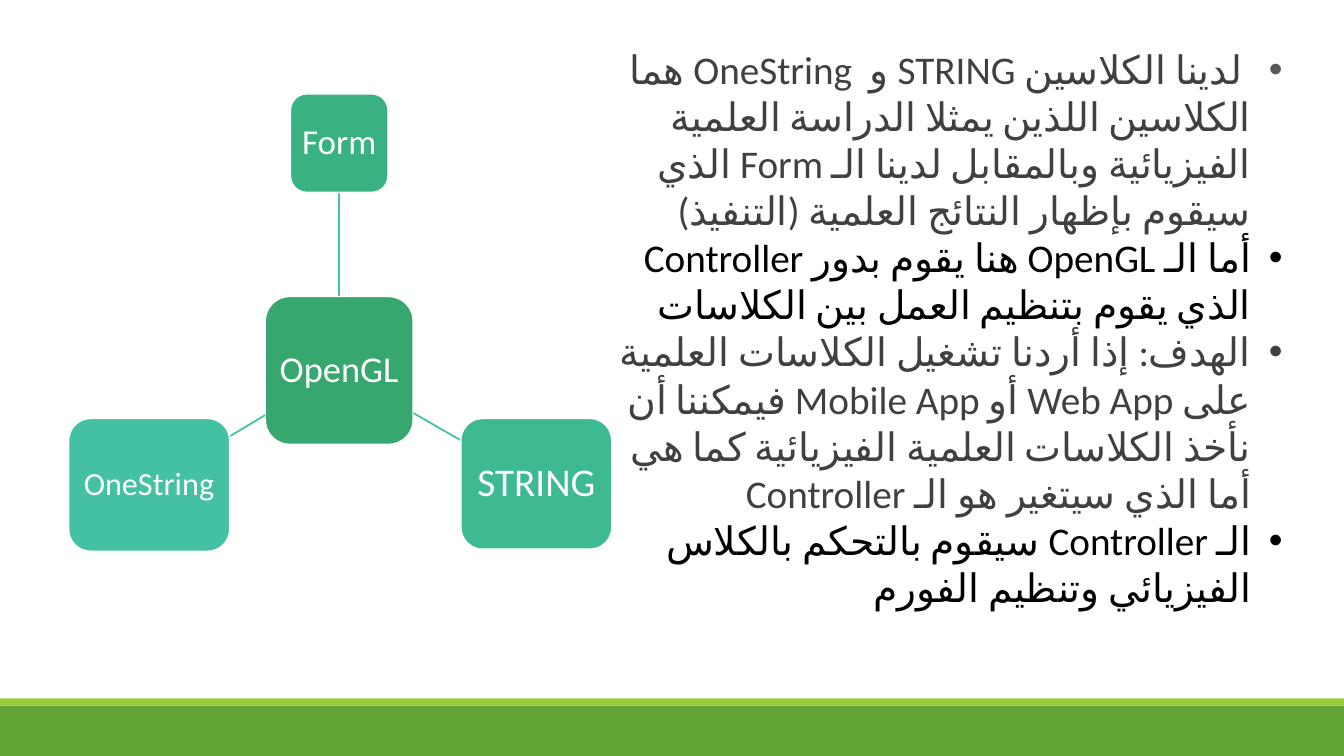
import pptx
import pptx.util
import pptx.dml.color
import pptx.enum.lang
import pptx.enum.shapes
import pptx.enum.text
import pptx.oxml.ns

Inches, Pt = pptx.util.Inches, pptx.util.Pt
RGBColor = pptx.dml.color.RGBColor
MSO_SHAPE = pptx.enum.shapes.MSO_SHAPE
PP_ALIGN = pptx.enum.text.PP_ALIGN
MSO_ANCHOR = pptx.enum.text.MSO_ANCHOR
qn = pptx.oxml.ns.qn

WHITE = RGBColor(0xFF, 0xFF, 0xFF)
BLACK = RGBColor(0, 0, 0)
DARK_GREY = RGBColor(0x40, 0x40, 0x40)
GREY = RGBColor(0x59, 0x59, 0x59)
GREEN = RGBColor(0x63, 0xA5, 0x37)
LIME = RGBColor(0x99, 0xCB, 0x38)
TEAL = RGBColor(0x44, 0xC1, 0xA3)
FONT = "Calibri"

# Content: each bullet is a list of (text, colour) runs
BULLETS = [
    [(" ", GREY),
     ("لدينا الكلاسين STRING و  OneString هما الكلاسين اللذين يمثلا الدراسة "
      "العلمية الفيزيائية وبالمقابل لدينا الـ Form الذي سيقوم بإظهار النتائج "
      "العلمية (التنفيذ)", DARK_GREY)],
    [("أما الـ OpenGL هنا يقوم بدور Controller  الذي يقوم بتنظيم العمل بين "
      "الكلاسات", BLACK)],
    [("الهدف: إذا أردنا تشغيل الكلاسات العلمية على Web App أو Mobile App "
      "فيمكننا أن نأخذ الكلاسات العلمية الفيزيائية كما هي أما الذي سيتغير هو "
      "الـ Controller", DARK_GREY)],
    [("الـ Controller سيقوم بالتحكم بالكلاس الفيزيائي وتنظيم الفورم", BLACK)],
]
# Diagram: label, (left, top, width, height), font size, fill
HUB = ("OpenGL", (2.63, 2.94, 1.47, 1.47), 26, RGBColor(0x37, 0xA7, 0x6F))
SPOKES = [
    ("Form", (2.88, 0.93, 0.97, 0.98), 25, RGBColor(0x3A, 0xB1, 0x80)),
    ("STRING", (4.57, 4.15, 1.5, 1.3), 28, RGBColor(0x3E, 0xBA, 0x92)),
    ("OneString", (0.68, 4.15, 1.6, 1.32), 23, TEAL),
]
BARS = [((0, 7, 13.33, 0.5), GREEN), ((0, 6.93, 13.33, 0.07), LIME)]


def add_block(slide, kind, box, fill):
    block = slide.shapes.add_shape(kind, *map(Inches, box))
    block.shadow.inherit = False
    block.fill.solid()
    block.fill.fore_color.rgb = fill
    block.line.fill.background()
    return block


def add_node(slide, label, box, size, fill):
    node = add_block(slide, MSO_SHAPE.ROUNDED_RECTANGLE, box, fill)
    node.line.color.rgb = WHITE
    node.line.width = Pt(1.25)
    frame = node.text_frame
    frame.word_wrap = False
    frame.vertical_anchor = MSO_ANCHOR.MIDDLE
    caption = frame.paragraphs[0]
    caption.text = label
    caption.alignment = PP_ALIGN.CENTER
    caption.line_spacing = 0.9
    caption.font.name = FONT
    caption.font.size = Pt(size)
    caption.font.color.rgb = WHITE


def center(box):
    left, top, width, height = box
    return left + width / 2, top + height / 2


def edge_toward(box, target):
    """Point where the ray from the box centre to target leaves the box."""
    x, y = center(box)
    dx, dy = target[0] - x, target[1] - y
    scale = 1 / max(abs(dx) / (box[2] / 2), abs(dy) / (box[3] / 2))
    return x + dx * scale, y + dy * scale


def add_link(slide, start_box, end_box):
    start = edge_toward(start_box, center(end_box))
    end = edge_toward(end_box, center(start_box))
    link = slide.shapes.add_connector(
        pptx.enum.shapes.MSO_CONNECTOR.STRAIGHT, *map(Inches, start + end))
    link.line.color.rgb = TEAL
    link.line.width = Pt(1.25)
    props = link._element.spPr
    props.append(props.makeelement(qn("a:effectLst"), {}))


def fill_bullets(frame):
    for index, runs in enumerate(BULLETS):
        bullet = frame.paragraphs[0] if index == 0 else frame.add_paragraph()
        bullet.alignment = PP_ALIGN.RIGHT
        bullet.line_spacing = 1.0
        bullet.space_before = bullet.space_after = Pt(0)
        bullet.font.size = Pt(28)
        for text, color in runs:
            run = bullet.add_run()
            run.text = text
            run.font.color.rgb = color
            run.font.name = FONT
            run.font.language_id = pptx.enum.lang.MSO_LANGUAGE_ID.ARABIC
            # Arabic letters take their font from the complex-script slot
            latin = run._r.rPr.find(qn("a:latin"))
            latin.addnext(latin.makeelement(qn("a:cs"), {"typeface": FONT}))
        # Right-to-left paragraph with a hanging bullet
        props = bullet._p.get_or_add_pPr()
        props.set("rtl", "1")
        props.set("marL", str(Inches(0.31)))
        props.set("indent", str(-Inches(0.31)))
        mark = props.makeelement(qn("a:buChar"), {"char": "•"})
        props.find(qn("a:spcAft")).addnext(mark)


def main():
    deck = pptx.Presentation()
    deck.slide_width, deck.slide_height = Inches(13.33), Inches(7.5)
    slide = deck.slides.add_slide(deck.slide_layouts[1])
    title = slide.shapes.title._element
    title.getparent().remove(title)

    # Footer bars
    for box, fill in BARS:
        add_block(slide, MSO_SHAPE.RECTANGLE, box, fill)

    # Hub-and-spoke diagram
    add_node(slide, *HUB)
    for spoke in SPOKES:
        add_link(slide, HUB[1], spoke[1])
        add_node(slide, *spoke)

    # Explanation list
    explanation = slide.placeholders[1]
    explanation.left, explanation.top = Inches(5.7), Inches(0.4)
    explanation.width, explanation.height = Inches(7.12), Inches(5.76)
    frame = explanation.text_frame
    frame.word_wrap = True
    frame.auto_size = pptx.enum.text.MSO_AUTO_SIZE.NONE
    frame.vertical_anchor = MSO_ANCHOR.TOP
    fill_bullets(frame)

    deck.save("out.pptx")


if __name__ == "__main__":
    main()
